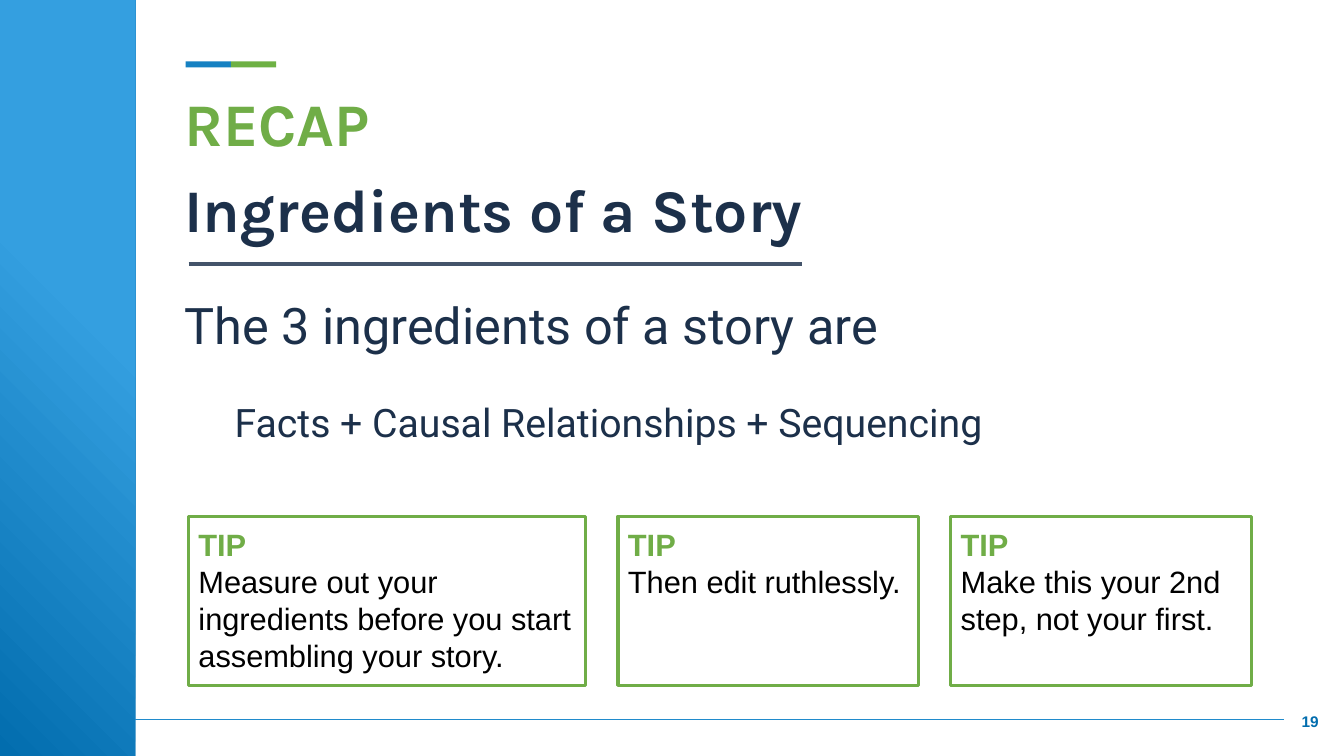
from pptx import Presentation
from pptx.dml.color import RGBColor
from pptx.enum.shapes import MSO_CONNECTOR, MSO_SHAPE
from pptx.enum.text import MSO_ANCHOR, PP_ALIGN
from pptx.oxml.ns import qn
from pptx.util import Inches, Pt
from lxml.etree import SubElement

DEEP = RGBColor(0x02, 0x6D, 0xAE)
SKY = RGBColor(0x34, 0x9F, 0xE0)
BLUE = RGBColor(0x16, 0x81, 0xC2)
LEAF = RGBColor(0x6E, 0xB1, 0x44)
RULE = RGBColor(0x20, 0x8B, 0xCC)
GREEN = RGBColor(0x70, 0xAD, 0x47)
NAVY = RGBColor(0x1C, 0x30, 0x4A)
SLATE = RGBColor(0x44, 0x54, 0x6A)
BLACK = RGBColor(0, 0, 0)


def add_rect(slide, left, top, width, height, fill=None):
    rect = slide.shapes.add_shape(MSO_SHAPE.RECTANGLE, Inches(left), Inches(top),
                                  Inches(width), Inches(height))
    rect.shadow.inherit = False
    rect.line.fill.background()
    if fill is None:
        rect.fill.background()
    else:
        rect.fill.solid()
        rect.fill.fore_color.rgb = fill
    return rect


def add_line(slide, left, right, top, color, weight):
    line = slide.shapes.add_connector(MSO_CONNECTOR.STRAIGHT, Inches(left), Inches(top),
                                      Inches(right), Inches(top))
    line.line.color.rgb = color
    line.line.width = Pt(weight)
    SubElement(line._element.spPr, qn("a:effectLst"))


def add_box(slide, left, top, width, height):
    return slide.shapes.add_textbox(Inches(left), Inches(top), Inches(width), Inches(height))


def set_frame(shape, side=0.1, edge=0.05):
    frame = shape.text_frame
    frame.word_wrap = True
    frame.vertical_anchor = MSO_ANCHOR.TOP
    frame.margin_left = frame.margin_right = Inches(side)
    frame.margin_top = frame.margin_bottom = Inches(edge)
    return frame


def add_text(frame, text, *, size, font, color, bold=False, align=PP_ALIGN.LEFT,
             before=0, spacing=1.0, indent=0):
    para = frame.paragraphs[0]
    if para.runs:
        para = frame.add_paragraph()
    para.alignment = align
    para.space_before = Pt(before)
    para.line_spacing = spacing
    if indent:
        para._p.get_or_add_pPr().set("marL", str(Inches(indent)))
    run = para.add_run()
    run.text = text
    run.font.size = Pt(size)
    run.font.name = font
    run.font.bold = bold
    run.font.color.rgb = color


def add_side(slide, left, top, width, height):
    side = add_rect(slide, left, top, width, height)
    side.fill.gradient()
    side.fill.gradient_angle = 45
    for stop, color, place in zip(side.fill.gradient_stops, (DEEP, SKY), (0, 0.6)):
        stop.color.rgb = color
        stop.position = place


def add_foot(slide, left, top, width):
    add_line(slide, left, left + width, top, RULE, 0.75)
    frame = set_frame(add_box(slide, left + width + 0.04, top - 0.13, 0.43, 0.3), 0.06, 0.06)
    add_text(frame, "19", size=11, font="Arial", color=DEEP, bold=True, align=PP_ALIGN.CENTER)


def add_title(slide, left, top, width, height):
    for i, color in enumerate((BLUE, LEAF)):
        add_rect(slide, left + 0.11 + 0.45 * i, top - 0.19, 0.45, 0.06, color)
    frame = set_frame(add_box(slide, left, top, width, height))
    look = {"size": 43.2, "font": "Karla", "bold": True}
    add_text(frame, "RECAP", color=GREEN, **look)
    add_text(frame, "Ingredients of a Story", color=NAVY, before=10, **look)
    add_line(slide, left + 0.14, left + 6.22, top + 1.82, SLATE, 3)


def add_body(slide, left, top, width, height):
    frame = set_frame(add_box(slide, left, top, width, height))
    look = {"font": "Roboto", "color": NAVY, "spacing": 0.9}
    add_text(frame, "The 3 ingredients of a story are", size=36, **look)
    add_text(frame, "Facts + Causal Relationships + Sequencing", size=28,
             before=34, indent=0.5, **look)


def add_tips(slide, left, top, height, gap):
    tips = [
        (3.94, "Measure out your ingredients before you start assembling your story."),
        (2.98, "Then edit ruthlessly."),
        (2.98, "Make this your 2nd step, not your first."),
    ]
    for width, tip in tips:
        card = add_rect(slide, left, top, width, height)
        card.line.color.rgb = GREEN
        card.line.width = Pt(2.25)
        frame = set_frame(card, edge=0.1)
        add_text(frame, "TIP", size=22, font="Arial", color=GREEN, bold=True)
        add_text(frame, tip, size=22, font="Arial", color=BLACK)
        left += width + gap


def main():
    deck = Presentation()
    deck.slide_width = Inches(13.33)
    deck.slide_height = Inches(7.5)
    slide = deck.slides.add_slide(deck.slide_layouts[6])
    add_side(slide, 0, 0, 1.34, 7.5)
    add_foot(slide, 1.34, 7.14, 11.4)
    add_title(slide, 1.73, 0.8, 9.6, 1.23)
    add_body(slide, 1.73, 2.94, 10.93, 2.03)
    add_tips(slide, 1.87, 5.12, 1.68, 0.32)
    deck.save("out.pptx")


if __name__ == "__main__":
    main()
